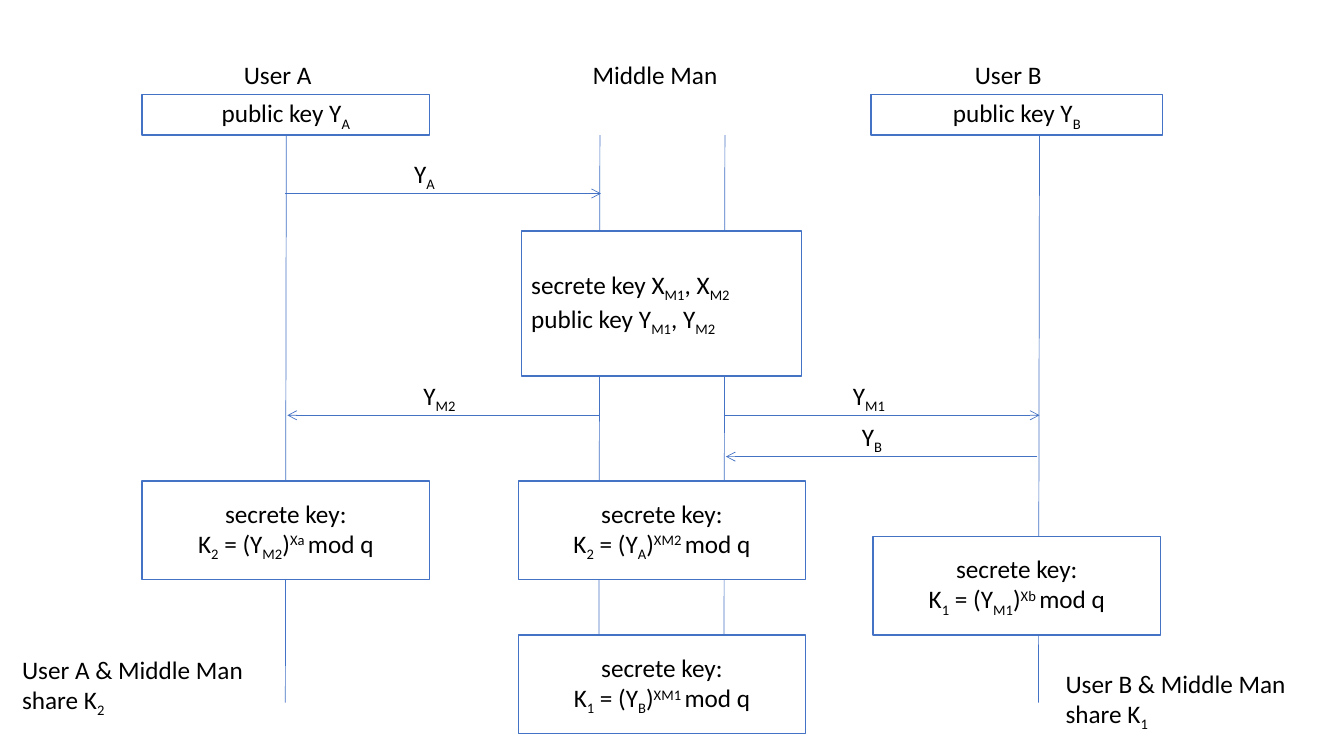
"""Sequence diagram of a man-in-the-middle attack on a key exchange."""
from lxml.etree import SubElement
from pptx import Presentation
from pptx.dml.color import RGBColor
from pptx.enum.shapes import MSO_CONNECTOR, MSO_SHAPE
from pptx.enum.text import MSO_ANCHOR, MSO_AUTO_SIZE, PP_ALIGN
from pptx.oxml.ns import qn
from pptx.util import Inches, Pt

THEME = {
    "font": "Calibri", "size": 18, "box_line": 1, "thin_line": 0.5,
    "text": RGBColor(0, 0, 0), "fill": RGBColor(255, 255, 255),
    "line": RGBColor(0x44, 0x72, 0xC4),
}
BASELINE = {"_": "-25000", "^": "30000"}

LIFELINES = [2.84, 5.95, 7.19, 10.31]
LIFELINE_TOP, LIFELINE_END, LIFELINE_SLANT = 1.34, 6.97, 0.01
LABEL_H = 0.4
KEY_W, KEY_H = 2.85, 0.98

HEADINGS = [("User A", 2.32, 1.03), ("Middle Man", 5.78, 1.58), ("User B", 9.57, 1.03)]
PUBLIC_KEYS = [("public key Y{_A}", 1.41, 2.85), ("public key Y{_B}", 8.64, 2.89)]
MIDDLE_KEYS = ["secrete key X{_M1}, X{_M2}", "public key Y{_M1}, Y{_M2}"]
SHARED_KEYS = [
    ("K{_2} = (Y{_M2}){^Xa }mod q", 1.41, 4.77),
    ("K{_2} = (Y{_A}){^XM2 }mod q", 5.14, 4.77),
    ("K{_1} = (Y{_B}){^XM1 }mod q", 5.14, 6.3),
    ("K{_1} = (Y{_M1}){^Xb }mod q", 8.66, 5.32),
]
MESSAGES = [
    ("Y{_A}", 4.01, 0.47, 2.83, 5.96, 1.92),
    ("Y{_M2}", 4.1, 0.59, 5.94, 2.85, 4.12),
    ("Y{_M1}", 8.36, 0.59, 7.18, 10.31, 4.12),
    ("Y{_B}", 8.45, 0.47, 10.29, 7.2, 4.53),
]
RESULTS = [
    (["User A & Middle Man", "share K{_2}"], 0.12, 6.44),
    (["User B & Middle Man", "share K{_1}"], 10.47, 6.58),
]


def write(tf, lines, align=PP_ALIGN.LEFT, size=THEME["size"], color=THEME["text"]):
    """Fill a text frame; {_x} marks a subscript and {^x} a superscript."""
    for i, line in enumerate(lines):
        p = tf.paragraphs[0] if i == 0 else tf.add_paragraph()
        p.alignment = align
        for j, part in enumerate(line.replace("}", "{").split("{")):
            if not part:
                continue
            r = p.add_run()
            r.text = part[1:] if j % 2 else part
            r.font.name = THEME["font"]
            r.font.size = Pt(size)
            r.font.color.rgb = color
            if j % 2:
                r.font._element.set("baseline", BASELINE[part[0]])


def add_label(slide, lines, x, y, w, h=LABEL_H):
    """Add plain text without wrapping."""
    tf = slide.shapes.add_textbox(Inches(x), Inches(y), Inches(w), Inches(h)).text_frame
    tf.word_wrap = False
    tf.auto_size = MSO_AUTO_SIZE.SHAPE_TO_FIT_TEXT
    write(tf, lines)


def add_box(slide, lines, x, y, w, h, align=PP_ALIGN.CENTER):
    """Add an outlined box with text."""
    sp = slide.shapes.add_shape(MSO_SHAPE.RECTANGLE, Inches(x), Inches(y), Inches(w), Inches(h))
    sp.shadow.inherit = False
    sp.fill.solid()
    sp.fill.fore_color.rgb = THEME["fill"]
    sp.line.color.rgb = THEME["line"]
    sp.line.width = Pt(THEME["box_line"])
    tf = sp.text_frame
    tf.word_wrap = True
    tf.vertical_anchor = MSO_ANCHOR.MIDDLE
    write(tf, lines, align=align)


def add_line(slide, x1, y1, x2, y2, arrow=False):
    """Add a thin line, with an open arrowhead at its end if asked."""
    c = slide.shapes.add_connector(
        MSO_CONNECTOR.STRAIGHT, Inches(x1), Inches(y1), Inches(x2), Inches(y2))
    c.line.color.rgb = THEME["line"]
    c.line.width = Pt(THEME["thin_line"])
    if arrow:
        SubElement(c.line._get_or_add_ln(), qn("a:tailEnd"), type="arrow")
    SubElement(c._element.spPr, qn("a:effectLst"))


def main():
    """Build the slide and save it."""
    prs = Presentation()
    prs.slide_width, prs.slide_height = Inches(13.33), Inches(7.5)
    slide = prs.slides.add_slide(prs.slide_layouts[6])

    for x in LIFELINES:
        add_line(slide, x, LIFELINE_TOP, x - LIFELINE_SLANT, LIFELINE_END)
    for text, x, w in HEADINGS:
        add_label(slide, [text], x, LIFELINE_TOP - 2 * LABEL_H, w)
    for text, x, w in PUBLIC_KEYS:
        add_box(slide, [text], x, LIFELINE_TOP - LABEL_H, w, LABEL_H)
    add_box(slide, MIDDLE_KEYS, 5.17, 2.29, 2.78, 1.44, align=PP_ALIGN.JUSTIFY)
    for formula, x, y in SHARED_KEYS:
        add_box(slide, ["secrete key:", formula], x, y, KEY_W, KEY_H)
    for text, x, w, start, end, y in MESSAGES:
        add_line(slide, start, y, end, y, arrow=True)
        add_label(slide, [text], x, y - LABEL_H, w)
    for lines, x, y in RESULTS:
        add_label(slide, lines, x, y, 2.72, 0.71)

    prs.save("out.pptx")


if __name__ == "__main__":
    main()
